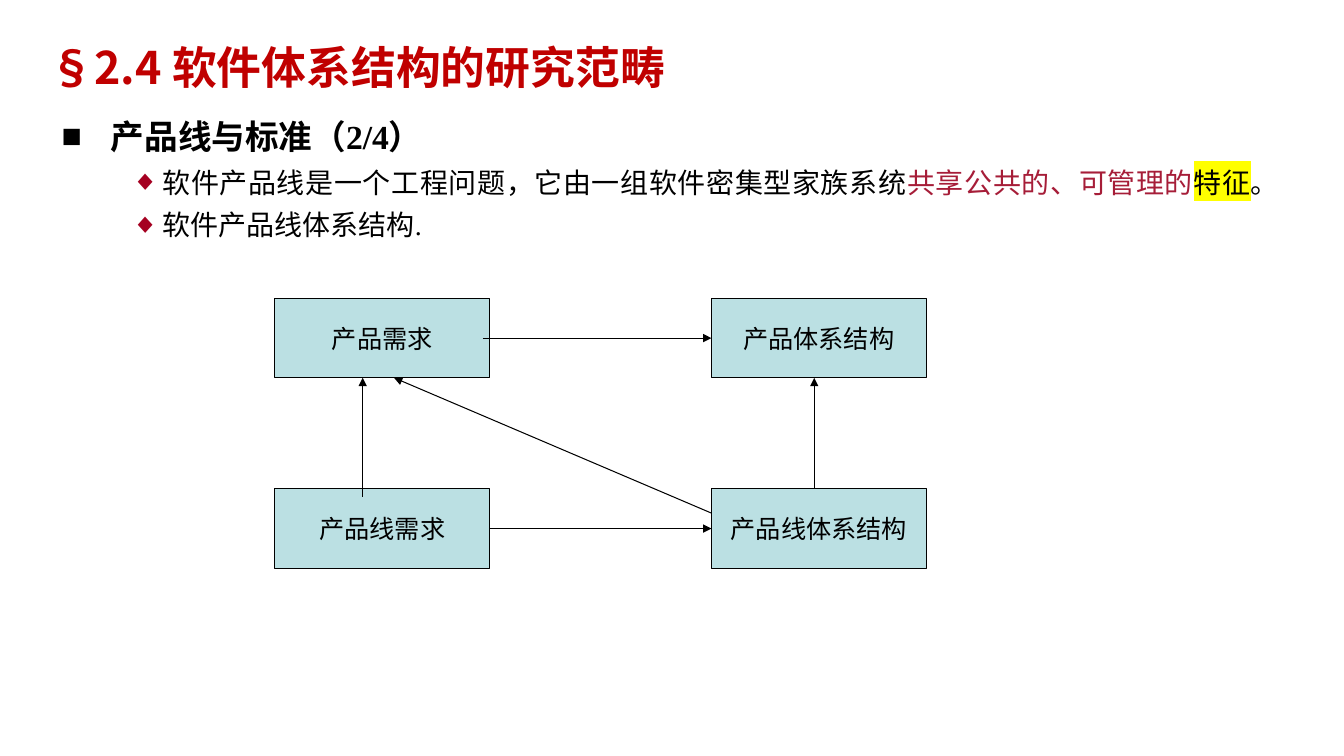
"""Builds the slide on product lines and standards in software architecture."""
from lxml import etree
from pptx import Presentation
from pptx.dml.color import RGBColor
from pptx.enum.lang import MSO_LANGUAGE_ID
from pptx.enum.shapes import MSO_CONNECTOR, MSO_SHAPE
from pptx.enum.text import MSO_ANCHOR, MSO_AUTO_SIZE, PP_ALIGN
from pptx.oxml.ns import qn
from pptx.util import Cm, Pt

CHINESE = MSO_LANGUAGE_ID.SIMPLIFIED_CHINESE
STRAIGHT, RECTANGLE = MSO_CONNECTOR.STRAIGHT, MSO_SHAPE.RECTANGLE
MIDDLE, TOP, NO_FIT = MSO_ANCHOR.MIDDLE, MSO_ANCHOR.TOP, MSO_AUTO_SIZE.NONE
LEFT, CENTER, JUSTIFY = PP_ALIGN.LEFT, PP_ALIGN.CENTER, PP_ALIGN.JUSTIFY

BLACK = RGBColor(0x00, 0x00, 0x00)
TITLE_RED = RGBColor(0xC0, 0x00, 0x00)
BULLET_RED = RGBColor(0xA5, 0x00, 0x21)
TEXT_RED = RGBColor(0xA6, 0x1D, 0x38)
BOX_BLUE = RGBColor(0xBB, 0xE0, 0xE3)
YELLOW = RGBColor(0xFF, 0xFF, 0x00)

CHINESE_FONT = "Noto Sans CJK SC"
LATIN_FONT = "Times New Roman"
BOX_FONT = "DejaVu Sans"

BOX_WIDTH, BOX_HEIGHT = 5.41, 2
BOX_LEFT, BOX_TOP = 6.93, 7.52
COLUMN_STEP, ROW_STEP = 11, 4.8
BOX_LABELS = [["产品需求", "产品体系结构"], ["产品线需求", "产品线体系结构"]]

HEADING = [("产品线与标准", CHINESE_FONT, BLACK, None),
           ("（2/4）", LATIN_FONT, BLACK, None)]
POINTS = [
    [("软件产品线是一个工程问题，它由一组软件密集型家族系统", LATIN_FONT, BLACK, None),
     ("共享公共的、可管理的", LATIN_FONT, TEXT_RED, None),
     ("特征", LATIN_FONT, BLACK, YELLOW),
     ("。", LATIN_FONT, BLACK, None)],
    [("软件产品线体系结构.", LATIN_FONT, BLACK, None)],
]


class SlideBuilder:
    """Holds the style and the current slide."""

    def __init__(self, presentation):
        self.slide = presentation.slides.add_slide(presentation.slide_layouts[1])
        self.line_width = Pt(0.75)

    def place(self, shape, left, top, width, height):
        """Moves a placeholder and returns its text frame."""
        shape.left, shape.top = Cm(left), Cm(top)
        shape.width, shape.height = Cm(width), Cm(height)
        shape.text_frame.word_wrap = True
        shape.text_frame.auto_size = NO_FIT
        return shape.text_frame

    def style_run(self, run, name, size, color, bold, highlight=None):
        """Formats one run, with the Chinese font for its Chinese letters."""
        font = run.font
        font.size, font.bold, font.name = Pt(size), bold, name
        font.color.rgb = color
        font.language_id = CHINESE
        properties = run._r.get_or_add_rPr()
        latin = properties.find(qn("a:latin"))
        east_asian = etree.Element(qn("a:ea"), typeface=CHINESE_FONT)
        latin.addnext(east_asian)
        if highlight is not None:
            mark = etree.Element(qn("a:highlight"))
            etree.SubElement(mark, qn("a:srgbClr"), val=str(highlight))
            latin.addprevious(mark)

    def title(self, text):
        """Fills the title placeholder."""
        frame = self.place(self.slide.shapes.title, 0.03, 0.74, 33.87, 1.9)
        frame.margin_left, frame.margin_top = Cm(0.2), Cm(0.1)
        frame.vertical_anchor = MIDDLE
        paragraph = frame.paragraphs[0]
        paragraph.alignment = LEFT
        properties = paragraph._p.get_or_add_pPr()
        properties.set("marL", "0")
        properties.set("indent", str(Cm(1.02)))
        run = paragraph.add_run()
        run.text = text
        self.style_run(run, CHINESE_FONT, 32, TITLE_RED, True)

    def body(self, heading, points):
        """Fills the body placeholder with a heading and its points."""
        frame = self.place(self.slide.placeholders[1], 1.3, 2.69, 30.48, 14.07)
        frame.vertical_anchor = TOP
        self.bullet(frame.paragraphs[0], heading, 0, 24, "■", BLACK, 1.24, 1.24)
        for point in points:
            self.bullet(frame.add_paragraph(), point, 1, 20, "◆", BULLET_RED, 2.54, 0.79)

    def bullet(self, paragraph, parts, level, size, character, color, margin, hanging):
        """Writes one bulleted paragraph."""
        paragraph.level, paragraph.alignment = level, JUSTIFY
        paragraph.line_spacing = 1.1
        paragraph.space_before = Pt(0.2 * size * level)
        properties = paragraph._p.get_or_add_pPr()
        properties.set("marL", str(Cm(margin)))
        properties.set("indent", str(-Cm(hanging)))
        bullet_color = etree.SubElement(properties, qn("a:buClr"))
        etree.SubElement(bullet_color, qn("a:srgbClr"), val=str(color))
        etree.SubElement(properties, qn("a:buChar"), char=character)
        for text, name, text_color, highlight in parts:
            run = paragraph.add_run()
            run.text = text
            self.style_run(run, name, size, text_color, level == 0, highlight)

    def box(self, label, left, top):
        """Adds a labelled rectangle."""
        shape = self.slide.shapes.add_shape(
            RECTANGLE, Cm(left), Cm(top), Cm(BOX_WIDTH), Cm(BOX_HEIGHT))
        shape.shadow.inherit = False
        shape.fill.solid()
        shape.fill.fore_color.rgb = BOX_BLUE
        shape.line.color.rgb = BLACK
        shape.line.width = self.line_width
        frame = shape.text_frame
        frame.word_wrap, frame.vertical_anchor = False, MIDDLE
        paragraph = frame.paragraphs[0]
        paragraph.alignment = CENTER
        run = paragraph.add_run()
        run.text = label
        self.style_run(run, BOX_FONT, 18, BLACK, False)
        return shape

    def arrow(self, start, end, source=None, target=None):
        """Adds an arrow, joined to the right of source and the left of target."""
        connector = self.slide.shapes.add_connector(
            STRAIGHT, *(Cm(length) for length in (*start, *end)))
        if source is not None:
            connector.begin_connect(source, 3)
        if target is not None:
            connector.end_connect(target, 1)
        connector.line.color.rgb = BLACK
        connector.line.width = self.line_width
        etree.SubElement(connector.line._get_or_add_ln(), qn("a:tailEnd"), type="triangle")
        etree.SubElement(connector._element.spPr, qn("a:effectLst"))


def main():
    """Builds and saves the slide."""
    presentation = Presentation()
    presentation.slide_width, presentation.slide_height = Cm(33.87), Cm(19.05)
    builder = SlideBuilder(presentation)
    builder.title("§2.4 软件体系结构的研究范畴")
    builder.body(HEADING, POINTS)
    boxes = [[builder.box(label, BOX_LEFT + column * COLUMN_STEP, BOX_TOP + row * ROW_STEP)
              for column, label in enumerate(labels)]
             for row, labels in enumerate(BOX_LABELS)]
    (_, architecture), (line_needs, line_architecture) = boxes

    upper_bottom = BOX_TOP + BOX_HEIGHT
    lower_top = BOX_TOP + ROW_STEP
    upper_middle = BOX_TOP + BOX_HEIGHT / 2
    lower_middle = upper_middle + ROW_STEP
    right_column = BOX_LEFT + COLUMN_STEP
    builder.arrow((9.14, 12.52), (9.14, upper_bottom))
    builder.arrow((12.17, upper_middle), (right_column, upper_middle), target=architecture)
    builder.arrow((BOX_LEFT + BOX_WIDTH, lower_middle), (right_column, lower_middle),
                  line_needs, line_architecture)
    builder.arrow((right_column, 12.93), (9.93, upper_bottom))
    builder.arrow((20.52, lower_top), (20.52, upper_bottom))
    presentation.save("out.pptx")


if __name__ == "__main__":
    main()
